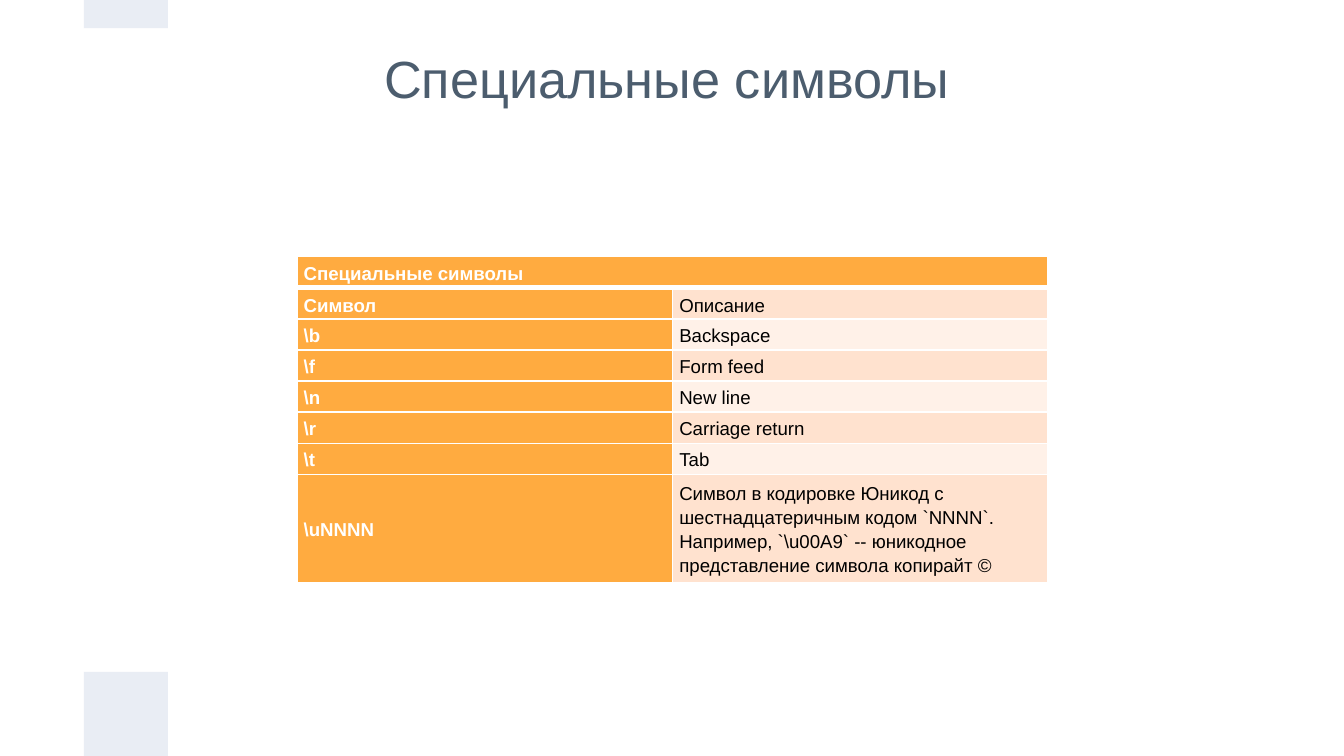
import lxml.etree
import pptx
import pptx.dml.color
import pptx.enum.shapes
import pptx.enum.text
import pptx.oxml.ns
import pptx.util

Inches = pptx.util.Inches
Pt = pptx.util.Pt
MIDDLE = pptx.enum.text.MSO_ANCHOR.MIDDLE
BOTTOM = pptx.enum.text.MSO_ANCHOR.BOTTOM

SLIDE_WIDTH = Inches(10)
SLIDE_HEIGHT = SLIDE_WIDTH * 9 // 16
ACCENT_SIZE = SLIDE_WIDTH // 16
FONT = "Arial"
COLOURS = {
    "title": "4C5D6E",
    "accent": "E9EDF4",
    "header": "FFAB40",
    "odd": "FFE2CF",
    "even": "FFF1E8",
    "white": "FFFFFF",
    "black": "000000",
}
HEADING = "Специальные символы"
SYMBOLS = [
    ("Символ", "Описание"),
    (r"\b", "Backspace"),
    (r"\f", "Form feed"),
    (r"\n", "New line"),
    (r"\r", "Carriage return"),
    (r"\t", "Tab"),
    (r"\uNNNN", "Символ в кодировке Юникод с шестнадцатеричным кодом `NNNN`. "
                r"Например, `\u00A9` -- юникодное представление символа копирайт ©"),
]


def rgb(name):
    return pptx.dml.color.RGBColor.from_string(COLOURS[name])


def style_font(font, size, colour, bold=False):
    font.name = FONT
    font.size = Pt(size)
    font.bold = bold
    font.color.rgb = rgb(colour)


def add_title(page, text):
    box = page.shapes.add_textbox(Inches(0.04), Inches(0.31), Inches(9.84), Inches(0.54))
    frame = box.text_frame
    frame.word_wrap = True
    frame.vertical_anchor = MIDDLE
    frame.margin_left = frame.margin_right = Inches(0.1)
    frame.margin_top = frame.margin_bottom = Inches(0.1)
    para = frame.paragraphs[0]
    para.text = text
    para.alignment = pptx.enum.text.PP_ALIGN.CENTER
    style_font(para.font, 28, "title")


def add_accent(page, top, height):
    block = page.shapes.add_shape(
        pptx.enum.shapes.MSO_SHAPE.RECTANGLE, ACCENT_SIZE, top, ACCENT_SIZE, height)
    block.shadow.inherit = False
    block.fill.solid()
    block.fill.fore_color.rgb = rgb("accent")
    block.line.fill.background()


def set_borders(cell, bottom_width):
    qn = pptx.oxml.ns.qn
    properties = cell._tc.get_or_add_tcPr()
    for side, width in (("L", 1), ("R", 1), ("T", 1), ("B", bottom_width)):
        line = lxml.etree.SubElement(properties, qn(f"a:ln{side}"), w=str(Pt(width)))
        fill = lxml.etree.SubElement(line, qn("a:solidFill"))
        lxml.etree.SubElement(fill, qn("a:srgbClr"), val=COLOURS["white"])


def fill_cell(cell, text, fill, colour, bold, anchor=MIDDLE, bottom_width=1):
    set_borders(cell, bottom_width)
    cell.fill.solid()
    cell.fill.fore_color.rgb = rgb(fill)
    cell.vertical_anchor = anchor
    cell.margin_left, cell.margin_right = Inches(0.05), Inches(0.17)
    cell.margin_top = cell.margin_bottom = Inches(0.02)
    para = cell.text_frame.paragraphs[0]
    para.text = text
    para.line_spacing = 1.15
    para.space_before = para.space_after = Pt(10)
    style_font(para.font, 10, colour, bold)


def add_symbol_table(page):
    frame = page.shapes.add_table(
        len(SYMBOLS) + 1, 2, Inches(2.21), Inches(1.91), Inches(5.59), Inches(2.31))
    table = frame.table

    # Rows grow to fit their text
    for row in table.rows:
        row.height = 0
    frame.height = Inches(2.31)

    # Heading across both columns
    table.cell(0, 0).merge(table.cell(0, 1))
    fill_cell(table.cell(0, 0), HEADING, "header", "white", True, bottom_width=3)
    set_borders(table.cell(0, 1), 3)

    # Symbols with banded descriptions
    for number, (symbol, description) in enumerate(SYMBOLS, start=1):
        anchor = BOTTOM if number == 1 else MIDDLE
        band = "odd" if number % 2 else "even"
        fill_cell(table.cell(number, 0), symbol, "header", "white", True, anchor)
        fill_cell(table.cell(number, 1), description, band, "black", False, anchor)


def main():
    deck = pptx.Presentation()
    deck.slide_width, deck.slide_height = SLIDE_WIDTH, SLIDE_HEIGHT
    page = deck.slides.add_slide(deck.slide_layouts[6])

    add_title(page, HEADING)

    # Accent blocks at the bottom and top edges
    add_accent(page, SLIDE_HEIGHT - ACCENT_SIZE, ACCENT_SIZE)
    add_accent(page, 0, Inches(0.21))

    add_symbol_table(page)

    deck.save("out.pptx")


if __name__ == "__main__":
    main()
